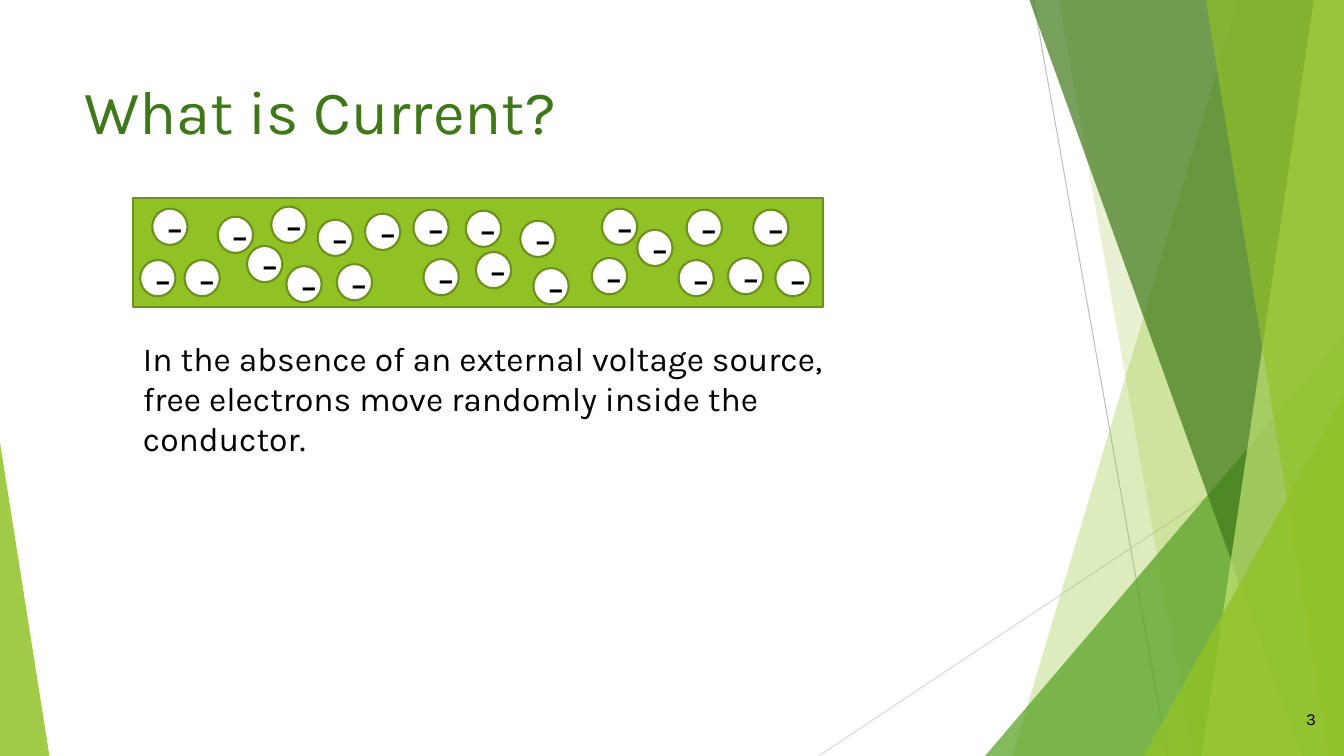
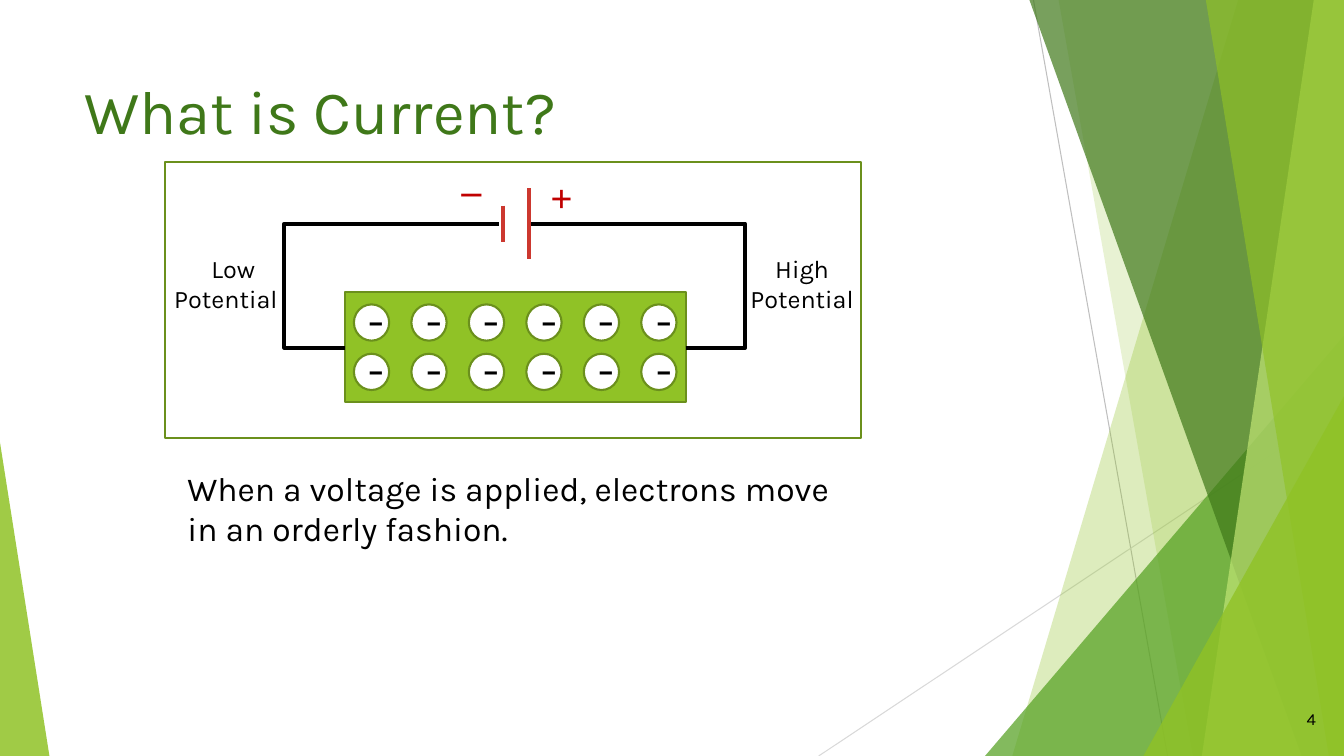
"""Two slides on electric current, with a shared faceted green backdrop."""
from dataclasses import dataclass

from lxml.etree import SubElement
from pptx import Presentation
from pptx.dml.color import RGBColor
from pptx.enum.shapes import MSO_CONNECTOR, MSO_SHAPE
from pptx.enum.text import MSO_ANCHOR, PP_ALIGN
from pptx.oxml.ns import qn
from pptx.util import Inches, Pt


@dataclass(frozen=True)
class Theme:
    font: str = "Karla"
    symbol_font: str = "Times New Roman"
    lime: str = "90C226"
    pale: str = "C0E474"
    leaf: str = "54A021"
    forest: str = "3F7819"
    outline: str = "6B901C"
    white: str = "FFFFFF"
    black: str = "000000"
    plate: str = "CC382F"
    sign: str = "C00000"
    ray: str = "BFBFBF"
    pale_ray: str = "D9D9D9"
    title: int = 44
    charge: int = 32
    polarity: int = 28
    body: int = 24
    label: int = 18
    number: int = 12


T = Theme()
W, H = 13.33, 7.5
TITLE = "What is Current?"

RAYS = [((10.25, 0), (11.58, H), T.ray), ((W, 4.03), (8.12, H), T.pale_ray)]
FACETS = [
    ("band", (12.28, 10.04), T.lime, 30),
    ("band", (10.5, 11.83), T.lime, 20),
    ("triangle", (9.77, 3.33, 3.56, 4.17, 1), T.leaf, 72),
    ("band", (10.21, 12.91), T.forest, 70),
    ("band", (13.03, 11.92), T.pale, 70),
    ("band", (11.96, 13.18), T.lime, 65),
    ("triangle", (11.34, 3.93, 1.99, 3.57, 1), T.lime, 80),
    ("triangle", (0, 4.39, 0.49, 3.11, 0), T.lime, 85),
]

RANDOM = {
    "text": "In the absence of an external voltage source, free electrons move "
            "randomly inside the conductor.",
    "text_box": (1.32, 3.3, 7.26, 1.31),
    "conductor": (1.32, 1.96, 6.84, 1.09),
    "electrons": [
        (1.51, 2.07), (2.16, 2.15), (2.69, 2.05), (3.15, 2.18), (3.62, 2.12),
        (4.1, 2.08), (4.62, 2.09), (5.16, 2.19), (5.97, 2.07), (6.32, 2.28),
        (6.81, 2.08), (7.47, 2.08), (1.39, 2.58), (1.83, 2.58), (2.45, 2.44),
        (2.84, 2.64), (3.34, 2.62), (4.2, 2.57), (4.72, 2.5), (5.29, 2.66),
        (5.87, 2.56), (6.73, 2.58), (7.22, 2.56), (7.69, 2.58),
    ],
}
ORDERLY = {
    "text": "When a voltage is applied, electrons move in an orderly fashion.",
    "text_box": (1.76, 4.59, 6.92, 0.91),
    "conductor": (3.42, 2.9, 3.38, 1.09),
    "electrons": [(3.51 + 0.57 * col, 3.02 + 0.49 * row)
                  for row in range(2) for col in range(6)],
}
CIRCUIT_FRAME = (1.64, 1.61, 6.9, 2.74)
WIRES = [
    [(3.42, 3.45), (2.82, 3.45), (2.82, 2.22), (4.95, 2.22)],
    [(6.8, 3.45), (7.39, 3.45), (7.39, 2.22), (5.26, 2.22)],
]
PLATES = [((4.99, 2.04), (4.99, 2.4)), ((5.25, 1.87), (5.25, 2.57))]
SIGNS = [("+", (5.36, 1.67, 0.43, 0.57)), ("_", (4.48, 1.46, 0.4, 0.57))]
POTENTIALS = [
    ("High Potential", (7.27, 2.46, 1.37, 0.71), [PP_ALIGN.CENTER]),
    ("Low\nPotential", (1.63, 2.46, 1.37, 0.71), [PP_ALIGN.CENTER, PP_ALIGN.LEFT]),
]


def rgb(color):
    return RGBColor.from_string(color)


def inches(values):
    return [Inches(v) for v in values]


def write(sp, text, size, color=T.black, aligns=(PP_ALIGN.LEFT,), font=T.font, bold=False):
    tf = sp.text_frame
    tf.text = text
    for p, align in zip(tf.paragraphs, aligns):
        p.alignment = align
        for r in p.runs:
            r.font.name, r.font.size, r.font.bold = font, Pt(size), bold
            r.font.color.rgb = rgb(color)
    return tf


def add_text(s, box, text, size, wrap=True, **style):
    sp = s.shapes.add_textbox(*inches(box))
    tf = write(sp, text, size, **style)
    tf.word_wrap = wrap
    return tf


def paint(sp, fill=None, line=None, width=1.5, alpha=None):
    sp.shadow.inherit = False
    if fill:
        sp.fill.solid()
        sp.fill.fore_color.rgb = rgb(fill)
        if alpha:
            clr = sp._element.spPr.find(".//" + qn("a:srgbClr"))
            SubElement(clr, qn("a:alpha")).set("val", str(alpha * 1000))
    else:
        sp.fill.background()
    if line:
        sp.line.color.rgb = rgb(line)
        sp.line.width = Pt(width)
    else:
        sp.line.fill.background()
    return sp


def add_shape(s, kind, box, **look):
    return paint(s.shapes.add_shape(kind, *inches(box)), **look)


def add_outline(s, points, close, **look):
    start, *rest = [inches(pt) for pt in points]
    builder = s.shapes.build_freeform(*start)
    builder.add_line_segments(rest, close=close)
    return paint(builder.convert_to_shape(), **look)


def add_line(s, start, end, color, width):
    cx = s.shapes.add_connector(MSO_CONNECTOR.STRAIGHT, *inches(start + end))
    cx.line.color.rgb = rgb(color)
    cx.line.width = Pt(width)
    SubElement(cx._element.spPr, qn("a:effectLst"))


def add_backdrop(s, layout):
    for start, end, color in RAYS:
        add_line(s, start, end, color, 0.75)
    for kind, geometry, color, alpha in FACETS:
        if kind == "band":
            top, bottom = geometry
            points = [(top, 0), (W, 0), (W, H), (bottom, H)]
            add_outline(s, points, True, fill=color, alpha=alpha)
        else:
            *box, apex = geometry
            sp = add_shape(s, MSO_SHAPE.ISOSCELES_TRIANGLE, box, fill=color, alpha=alpha)
            sp.adjustments[0] = apex
    for sp in list(s.shapes):
        layout.shapes._spTree.append(sp._element)


def add_frame(s, number):
    add_text(s, (0.74, 0.67, 9.4, 1.44), TITLE, T.title, color=T.forest)
    tf = add_text(s, (12.4, 6.93, 0.75, 0.4), str(number), T.number,
                  aligns=[PP_ALIGN.RIGHT])
    tf.vertical_anchor = MSO_ANCHOR.MIDDLE


def add_conductor(s, content, spacing=None):
    add_shape(s, MSO_SHAPE.FLOWCHART_PROCESS, content["conductor"],
              fill=T.lime, line=T.outline)
    for x, y in content["electrons"]:
        sp = add_shape(s, MSO_SHAPE.OVAL, (x, y, 0.35, 0.36), fill=T.white, line=T.outline)
        tf = write(sp, "-", T.charge, aligns=[PP_ALIGN.CENTER])
        tf.vertical_anchor = MSO_ANCHOR.MIDDLE
        if spacing:
            tf.paragraphs[0].line_spacing = Pt(spacing)
    add_text(s, content["text_box"], content["text"], T.body)


def add_circuit(s):
    for wire in WIRES:
        add_outline(s, wire, False, line=T.black, width=3)
    for start, end in PLATES:
        add_line(s, start, end, T.plate, 3)
    for sign, box in SIGNS:
        add_text(s, box, sign, T.polarity, wrap=False, color=T.sign,
                 font=T.symbol_font, bold=True)
    for text, box, aligns in POTENTIALS:
        add_text(s, box, text, T.label, aligns=aligns)


def main():
    prs = Presentation()
    prs.slide_width, prs.slide_height = Inches(W), Inches(H)
    blank = prs.slide_layouts[6]

    s = prs.slides.add_slide(blank)
    add_backdrop(s, blank)
    add_frame(s, 3)
    add_conductor(s, RANDOM)

    s = prs.slides.add_slide(blank)
    add_frame(s, 4)
    add_shape(s, MSO_SHAPE.RECTANGLE, CIRCUIT_FRAME, fill=T.white, line=T.outline)
    add_conductor(s, ORDERLY, spacing=34)
    add_circuit(s)

    prs.save("out.pptx")


if __name__ == "__main__":
    main()
